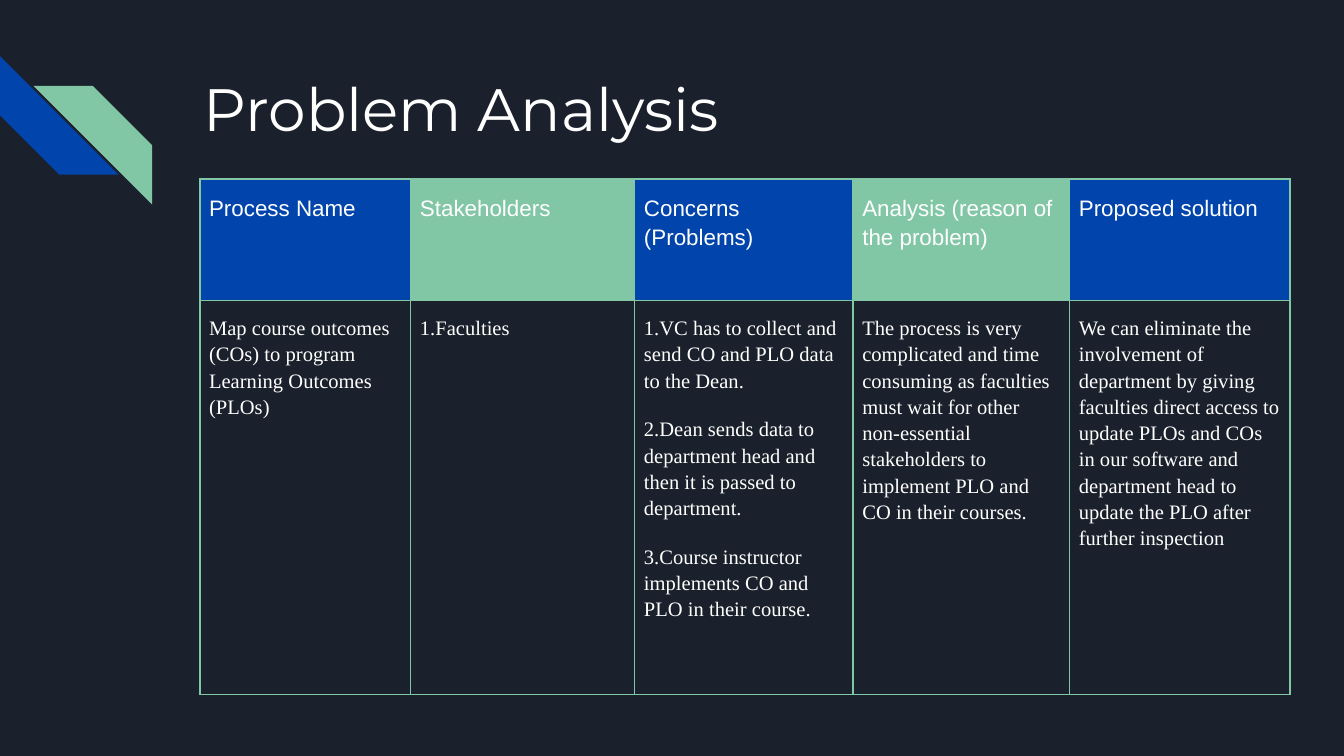
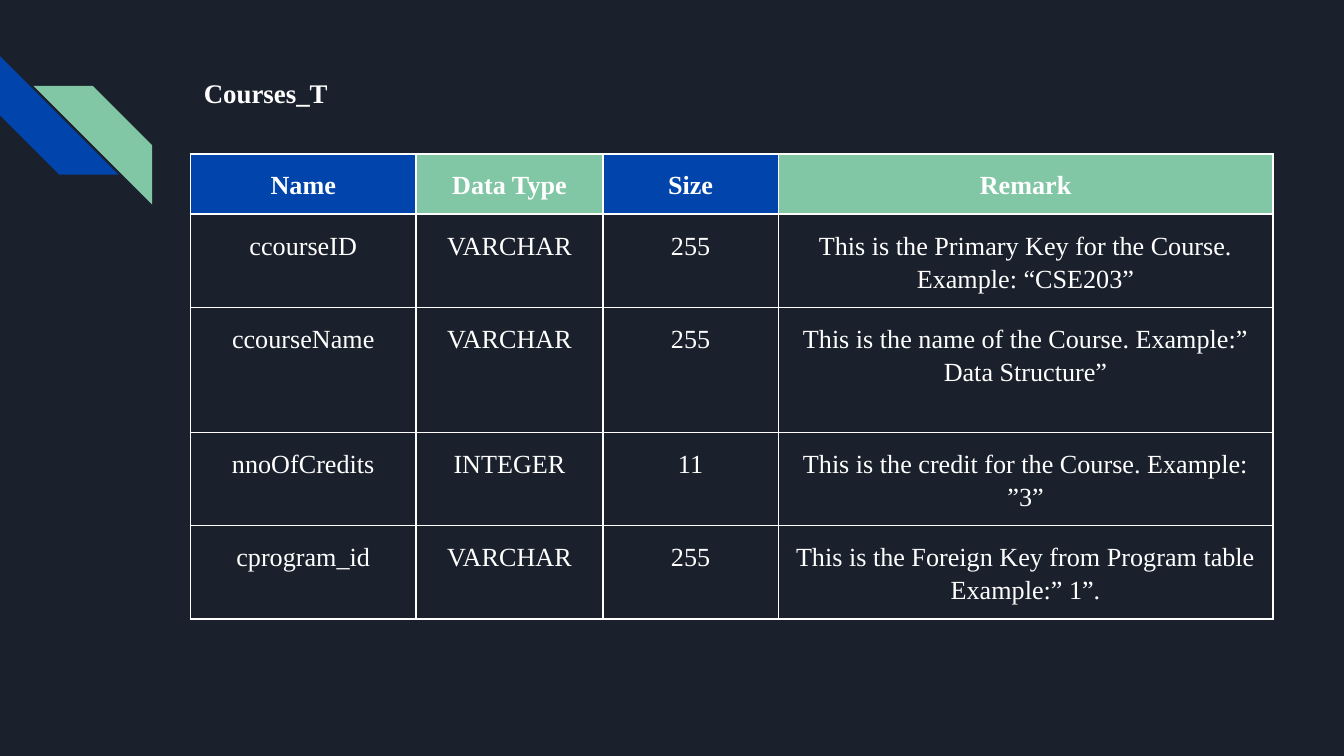
from dataclasses import dataclass

from lxml.etree import SubElement
from pptx import Presentation
from pptx.dml.color import RGBColor as Rgb
from pptx.enum.shapes import MSO_SHAPE as Shape
from pptx.enum.text import MSO_ANCHOR as Anchor, MSO_AUTO_SIZE as AutoSize, PP_ALIGN as Align
from pptx.oxml import parse_xml
from pptx.oxml.ns import nsdecls, qn
from pptx.util import Pt


@dataclass(frozen=True)
class TextStyle:
    """Font, size and spacing of one kind of text."""
    font: str
    size: float
    bold: bool = False
    align: Align = Align.LEFT
    line: float = 1.15
    before: float = 12
    after: float = 0


@dataclass(frozen=True)
class Theme:
    """Colours and type sizes of the deck."""
    night: str = "1B212C"
    blue: str = "0145AC"
    green: str = "82C7A5"
    white: str = "FFFFFF"
    title: TextStyle = TextStyle("Montserrat", 32, line=1, before=0)
    table_name: TextStyle = TextStyle("Times New Roman", 14.4, bold=True, after=12)
    analysis_head: TextStyle = TextStyle("Arial", 12)
    analysis_body: TextStyle = TextStyle("Times New Roman", 11)
    schema_head: TextStyle = TextStyle("Times New Roman", 14, bold=True, align=Align.CENTER)
    schema_body: TextStyle = TextStyle("Times New Roman", 14, align=Align.CENTER)


THEME = Theme()

ANALYSIS = [
    ["Process Name", "Stakeholders", "Concerns (Problems)",
     "Analysis (reason of the problem)", "Proposed solution"],
    ["Map course outcomes (COs) to program Learning Outcomes (PLOs)",
     "1.Faculties",
     "1.VC has to collect and send CO and PLO data to the Dean.\n"
     "2.Dean sends data to department head and then it is passed to department.\n"
     "3.Course instructor implements CO and PLO in their course.",
     "The process is very complicated and time consuming as faculties must wait for "
     "other non-essential stakeholders to implement PLO and CO in their courses.",
     "We can eliminate the involvement of department by giving faculties direct access "
     "to update PLOs and COs in our software and department head to update the PLO "
     "after further inspection"],
]

COURSES = [
    ["Name", "Data Type", "Size", "Remark"],
    ["ccourseID", "VARCHAR", "255",
     "This is the Primary Key for the Course. Example: “CSE203”"],
    ["ccourseName", "VARCHAR", "255",
     "This is the name of the Course. Example:” Data Structure”"],
    ["nnoOfCredits", "INTEGER", "11",
     "This is the credit for the Course. Example: ”3”"],
    ["cprogram_id", "VARCHAR", "255",
     "This is the Foreign Key from Program table Example:” 1”."],
]


def write(frame, text, style):
    """Fill a text frame with one paragraph for each line of text."""
    for index, line in enumerate(text.split("\n")):
        para = frame.add_paragraph() if index else frame.paragraphs[0]
        para.alignment = style.align
        para.line_spacing = style.line
        para.space_before, para.space_after = Pt(style.before), Pt(style.after)
        span = para.add_run()
        span.text = line
        span.font.name, span.font.size, span.font.bold = style.font, Pt(style.size), style.bold
        span.font.color.rgb = Rgb.from_string(THEME.white)


def add_stripe(group, box, colour):
    """Add one diagonal stripe to a group."""
    stripe = group.shapes.add_shape(Shape.DIAGONAL_STRIPE, *map(Pt, box))
    stripe.adjustments[0] = 0.5
    stripe.shadow.inherit = False
    stripe.fill.solid()
    stripe.fill.fore_color.rgb = Rgb.from_string(colour)
    stripe.line.fill.background()
    return stripe


def dress_layout(layout, page):
    """Give the layout its background and its pair of stripes."""
    layout.background.fill.solid()
    layout.background.fill.fore_color.rgb = Rgb.from_string(THEME.night)
    group = page.shapes.add_group_shape()
    add_stripe(group, (0, 30, 63.5, 63.5), THEME.blue).rotation = 270
    green = add_stripe(group, (18, 46, 63.5, 63.5), THEME.green)
    green.element.spPr.find(qn("a:xfrm")).set("flipH", "1")
    layout.shapes.element.append(group.element)


def place_title(page, text, box, style):
    """Move the title placeholder into its box and write it."""
    title = page.shapes.title
    title.left, title.top, title.width, title.height = map(Pt, box)
    frame = title.text_frame
    frame.word_wrap, frame.auto_size = True, AutoSize.NONE
    frame.vertical_anchor = Anchor.TOP
    frame.margin_left = frame.margin_right = Pt(7.2)
    frame.margin_top = frame.margin_bottom = Pt(7.2)
    write(frame, text, style)


def draw_borders(cell, colour):
    """Draw a thin line on all four sides of a cell."""
    properties = cell._tc.get_or_add_tcPr()
    for index, side in enumerate("LRTB"):
        line = parse_xml(f'<a:ln{side} {nsdecls("a")} w="{Pt(1)}"/>')
        fill = SubElement(line, qn("a:solidFill"))
        SubElement(fill, qn("a:srgbClr"), val=colour)
        properties.insert(index, line)


def place_table(page, rows, corner, widths, heights, head, body, border):
    """Add a table whose header cells alternate between blue and green."""
    box = (*corner, sum(widths), sum(heights))
    table = page.shapes.add_table(len(rows), len(widths), *map(Pt, box)).table
    table.first_row = table.horz_banding = False
    for column, width in zip(table.columns, widths):
        column.width = Pt(width)
    for row, height in zip(table.rows, heights):
        row.height = Pt(height)
    for i, texts in enumerate(rows):
        for j, text in enumerate(texts):
            cell = table.cell(i, j)
            cell.margin_left = cell.margin_right = Pt(5)
            cell.margin_top = cell.margin_bottom = Pt(7.2)
            if i == 0:
                cell.fill.solid()
                colour = THEME.green if j % 2 else THEME.blue
                cell.fill.fore_color.rgb = Rgb.from_string(colour)
            else:
                cell.fill.background()
            draw_borders(cell, border)
            write(cell.text_frame, text, body if i else head)


def build_analysis(page):
    """Build the problem analysis slide."""
    place_title(page, "Problem Analysis", (102, 31, 554, 72), THEME.title)
    place_table(page, ANALYSIS, (107, 96), (113, 120, 117, 116, 118), (65, 211),
                THEME.analysis_head, THEME.analysis_body, THEME.green)


def build_courses(page):
    """Build the slide that describes the courses table."""
    place_title(page, "Courses_T", (102, 31, 104, 41), THEME.table_name)
    place_table(page, COURSES, (102, 82.5), (121, 100, 94, 265), (32, 50, 67, 50, 50),
                THEME.schema_head, THEME.schema_body, THEME.white)


def main():
    """Build and save the deck."""
    deck = Presentation()
    deck.slide_width, deck.slide_height = Pt(720), Pt(405)
    layout = deck.slide_layouts.get_by_name("Title Only")
    analysis, courses = (deck.slides.add_slide(layout) for _ in range(2))
    dress_layout(layout, analysis)
    build_analysis(analysis)
    build_courses(courses)
    deck.save("out.pptx")


if __name__ == "__main__":
    main()
